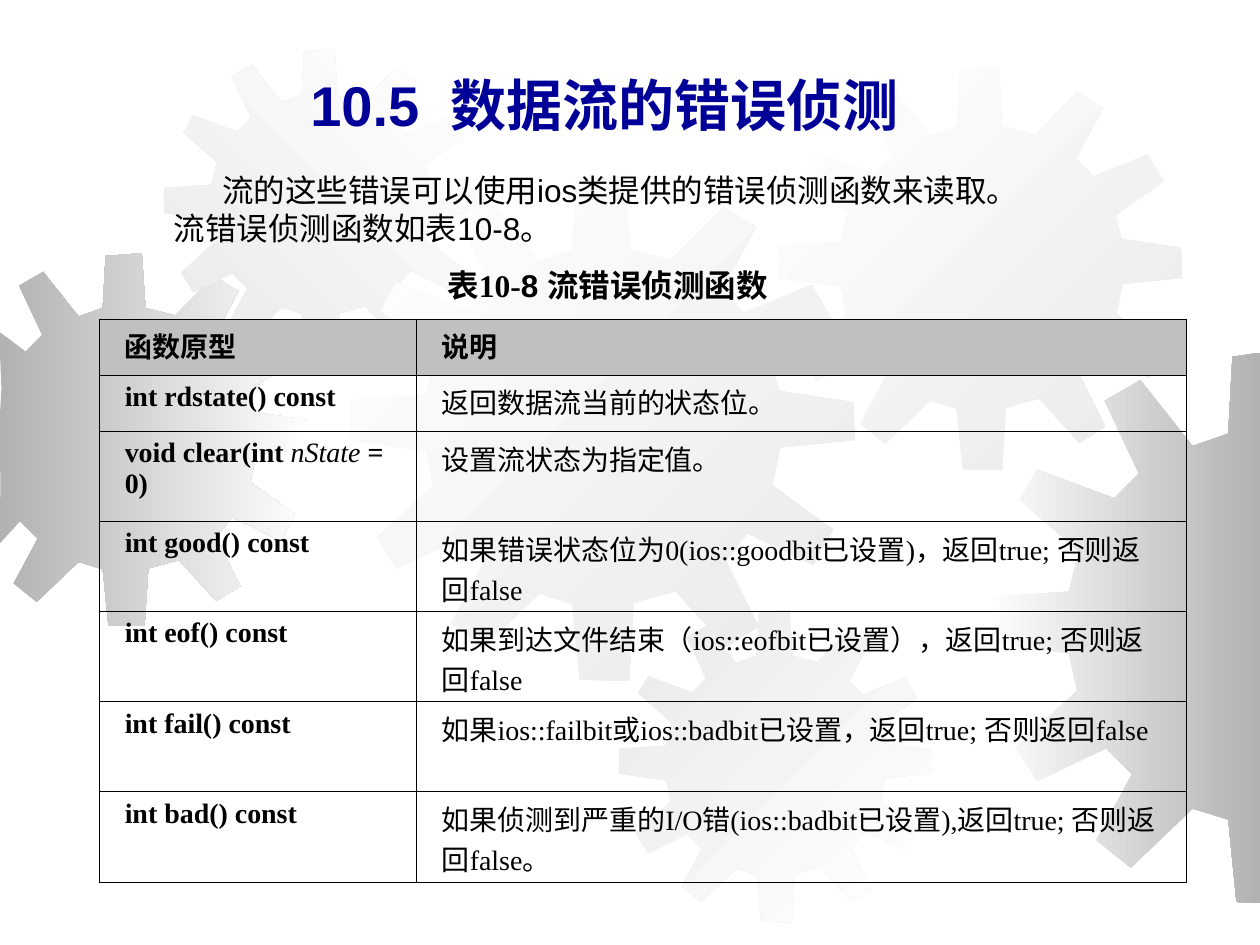
from lxml.etree import SubElement
from pptx import Presentation
from pptx.dml.color import RGBColor
from pptx.enum.text import MSO_ANCHOR as Anchor, PP_ALIGN as Align
from pptx.oxml.ns import qn
from pptx.util import Pt


def color(value):
    return RGBColor.from_string(value)


def add_run(para, text, size, font="Times New Roman", bold=False, italic=False, ink="000000"):
    span = para.add_run()
    span.text = text
    span.font.size = Pt(size)
    span.font.name = font
    span.font.bold = bold
    span.font.italic = italic
    span.font.color.rgb = color(ink)


deck = Presentation()
deck.slide_width, deck.slide_height = Pt(720), Pt(540)
page = deck.slides.add_slide(deck.slide_layouts[5])
page.background.fill.solid()
page.background.fill.fore_color.rgb = color("FFFFFF")

gear_size = 401
gear_outline = [
    (255, 67), (223, 59), (219, 0), (180, 3), (177, 59), (151, 68), (113, 20),
    (87, 35), (112, 88), (94, 106), (38, 85), (25, 107), (68, 145), (61, 174),
    (1, 178), (0, 210), (61, 219), (67, 246), (22, 287), (38, 312), (88, 288),
    (107, 307), (81, 355), (106, 375), (151, 332), (177, 340), (183, 400),
    (222, 401), (226, 339), (259, 330), (299, 374), (325, 358), (299, 306),
    (316, 284), (368, 309), (384, 281), (336, 246), (342, 216), (401, 210),
    (400, 180), (341, 171), (335, 148), (383, 114), (367, 87), (313, 109),
    (296, 91), (323, 41), (297, 25),
]
gears = [
    (-35.3, 144.7, 213.1, "B2B2B2", "FFFFFF", 0),
    (93.6, 28.1, 178.6, "EAEAEA", "FFFFFF", 45),
    (199.4, 100.1, 289, "FFFFFF", "EAEAEA", 315),
    (0, 378, 269.3, "FFFFFF", None, 0),
    (353.5, 348.5, 178.6, "EAEAEA", "FFFFFF", 315),
    (445, 38.2, 230.4, "FFFFFF", "EAEAEA", 315),
    (563, 201.6, 314.6, "FFFFFF", "B2B2B2", 0),
]
for left, top, size, start, end, angle in gears:
    scale = size / gear_size
    points = [
        (Pt(min(max(left + x * scale, 0), 720)), Pt(min(top + y * scale, 540)))
        for x, y in gear_outline
    ]
    builder = page.shapes.build_freeform(*points[0])
    builder.add_line_segments(points[1:], close=True)
    gear = builder.convert_to_shape()
    gear.shadow.inherit = False
    gear.line.fill.background()
    if end:
        gear.fill.gradient()
        gear.fill.gradient_angle = angle
        for stop, tint in zip(gear.fill.gradient_stops, (start, end)):
            stop.color.rgb = color(tint)
    else:
        gear.fill.solid()
        gear.fill.fore_color.rgb = color(start)
        tint = gear.fill._xPr.find(qn("a:solidFill"))[0]
        SubElement(tint, qn("a:alpha"), val="50000")

text_boxes = [
    (241.2, 145.4, 222.5, 34.6, False, [
        (0, [("表10-", "Times New Roman"), ("8 流错误侦测函数", "Arial")]),
    ]),
    (85, 91.4, 569.5, 56.2, True, [
        (27.5, [("流的这些错误可以使用ios类提供的错误侦测函数来读取。", "Arial")]),
        (0, [("流错误侦测函数如表10-8。", "Arial")]),
    ]),
]
for left, top, width, height, wrap, paragraphs in text_boxes:
    box = page.shapes.add_textbox(Pt(left), Pt(top), Pt(width), Pt(height))
    frame = box.text_frame
    frame.word_wrap = wrap
    frame.vertical_anchor = Anchor.MIDDLE
    frame.margin_left, frame.margin_right = Pt(14.4), Pt(13)
    frame.margin_top = frame.margin_bottom = Pt(6.5)
    for index, (indent, spans) in enumerate(paragraphs):
        para = frame.add_paragraph() if index else frame.paragraphs[0]
        para._p.get_or_add_pPr().set("indent", str(Pt(indent)))
        for text, font in spans:
            add_run(para, text, 18, font, bold=not wrap)

functions = [
    ("函数原型", "说明"),
    ("int rdstate() const", "返回数据流当前的状态位。"),
    ("void clear(int |nState |= 0)", "设置流状态为指定值。"),
    ("int good() const", "如果错误状态位为0(ios::goodbit已设置)，返回true; 否则返回false"),
    ("int eof() const", "如果到达文件结束（ios::eofbit已设置），返回true; 否则返回false"),
    ("int fail() const", "如果ios::failbit或ios::badbit已设置，返回true; 否则返回false"),
    ("int bad() const", "如果侦测到严重的I/O错(ios::badbit已设置),返回true; 否则返回false。"),
]
holder = page.shapes.add_table(len(functions), 2, Pt(56.9), Pt(182.2), Pt(621), Pt(321.8))
table = holder.table
table.first_row = table.horz_banding = False
for column, width in zip(table.columns, (181.2, 439.8)):
    column.width = Pt(width)
for r, texts in enumerate(functions):
    table.rows[r].height = Pt(32.2 if r < 2 else 51.5)
    for c, text in enumerate(texts):
        cell = table.cell(r, c)
        cell.margin_left, cell.margin_right = Pt(14.4), Pt(13)
        cell.margin_top = cell.margin_bottom = Pt(3.6)
        for i, piece in enumerate(text.split("|")):
            italic = i == 1
            add_run(cell.text_frame.paragraphs[0], piece, 16,
                    bold=(r == 0 or c == 0) and not italic, italic=italic)
        properties = cell._tc.get_or_add_tcPr()
        for side in ("a:lnL", "a:lnR", "a:lnT", "a:lnB"):
            border = SubElement(properties, qn(side), w=str(Pt(0.45)))
            paint = SubElement(border, qn("a:solidFill"))
            SubElement(paint, qn("a:srgbClr"), val="000000")
        if r == 0:
            cell.fill.solid()
            cell.fill.fore_color.rgb = color("C0C0C0")
        else:
            cell.fill.background()

title = page.shapes.title
title.left, title.top, title.width, title.height = Pt(36.7), Pt(31.7), Pt(648), Pt(47.5)
frame = title.text_frame
frame.vertical_anchor = Anchor.MIDDLE
frame.margin_right, frame.margin_top = Pt(37.5), Pt(12)
para = frame.paragraphs[0]
para.alignment = Align.CENTER
add_run(para, "10.5  数据流的错误侦测", 32, "Arial", bold=True, ink="000099")
page.shapes._spTree.append(title._element)

deck.save("out.pptx")
